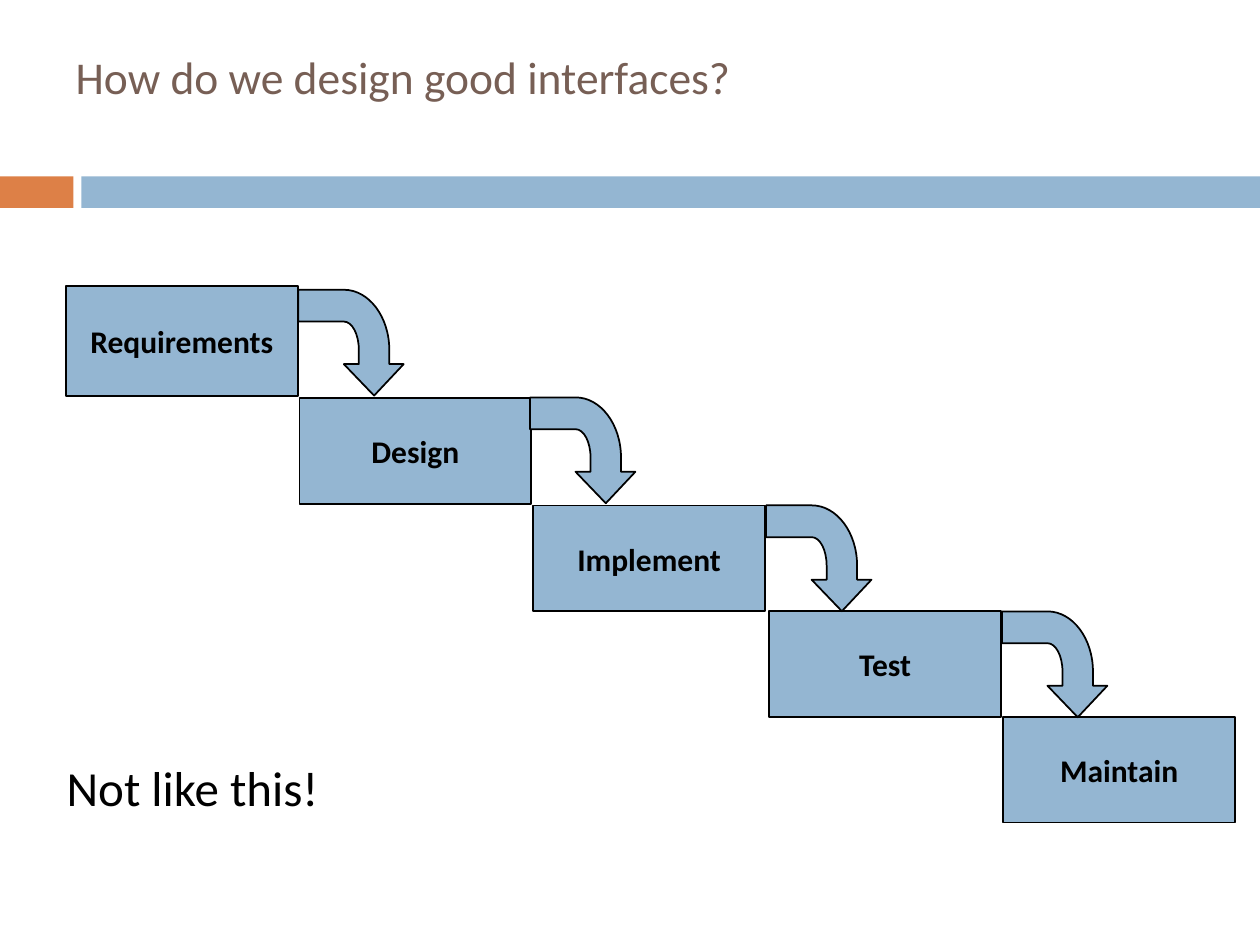
"""Build the waterfall process slide."""
from pptx import Presentation
from pptx import util as u
from pptx.dml.color import RGBColor
from pptx.enum import shapes, text
from pptx.oxml import ns, xmlchemy

BLUE, ORANGE, BROWN, BLACK = "94B6D2", "DD8047", "775F55", "000000"
STAGE_WIDTH = 132.5
STAGES = [
    ("Requirements", 37.7, 163.4, 63),
    ("Design", 171.1, 227.5, 60.4),
    ("Implement", 304.7, 288.9, 60.4),
    ("Test", 439.6, 349.2, 60.4),
    ("Maintain", 573.3, 409.7, 60.4),
]
ARROW_CORNERS = [(170.5, 165.6), (302.9, 227.1), (437.8, 288.8), (572.6, 349.4)]
ARROW_OUTLINE = [
    (0, 0), (26, 0), (40.4, 0), (52, 15.5), (52, 34.5), (52, 42.5), (60.2, 42.5),
    (43.3, 60.5), (26, 42.5), (34.6, 42.5), (34.6, 34.5), (34.6, 25.5),
    (30.8, 18.2), (26, 18.2), (0, 18.2),
]
BEND_STARTS = (1, 10)


def color(value):
    """Turn a hex string into a colour."""
    return RGBColor.from_string(value)


def points(*lengths):
    """Turn numbers into point lengths."""
    return [u.Pt(length) for length in lengths]


def paint(shape, fill, outlined=True):
    """Set the fill and outline and drop the shadow."""
    shape.shadow.inherit = False
    shape.fill.solid()
    shape.fill.fore_color.rgb = color(fill)
    if outlined:
        shape.line.color.rgb = color(BLACK)
        shape.line.width = u.Pt(1)
    else:
        shape.line.fill.background()


def write(frame, words, size, ink, bold=False, align=text.PP_ALIGN.LEFT,
          anchor=text.MSO_ANCHOR.MIDDLE, wrap=False):
    """Put one formatted line of words into a text frame."""
    frame.text = words
    frame.word_wrap = wrap
    frame.vertical_anchor = anchor
    line = frame.paragraphs[0]
    line.alignment = align
    line.font.color.rgb = color(ink)
    for name, value in {"name": "Calibri", "size": u.Pt(size), "bold": bold}.items():
        setattr(line.font, name, value)


def add_box(slide, left, top, width, height, fill=BLUE, outlined=True):
    """Add a filled rectangle."""
    box = slide.shapes.add_shape(
        shapes.MSO_SHAPE.RECTANGLE, *points(left, top, width, height))
    paint(box, fill, outlined)
    return box


def add_stage(slide, name, left, top, height):
    """Add one labelled stage of the process."""
    stage = add_box(slide, left, top, STAGE_WIDTH, height)
    write(stage.text_frame, name, 18, BLACK, bold=True, align=text.PP_ALIGN.CENTER)


def round_bends(arrow):
    """Merge the three segments of each bend into one Bezier curve."""
    segments = list(arrow.element.iter(ns.qn("a:lnTo")))
    for start in BEND_STARTS:
        bend = segments[start:start + 3]
        curve = xmlchemy.OxmlElement("a:cubicBezTo")
        bend[0].addprevious(curve)
        for segment in bend:
            curve.append(segment[0])
            segment.getparent().remove(segment)


def add_bent_arrow(slide, left, top):
    """Add an arrow that leaves to the right and bends down."""
    corners = [points(left + x, top + y) for x, y in ARROW_OUTLINE]
    builder = slide.shapes.build_freeform(*corners[0])
    builder.add_line_segments(corners[1:], close=True)
    arrow = builder.convert_to_shape()
    round_bends(arrow)
    paint(arrow, BLUE)


def add_title(slide, words):
    """Place and format the title."""
    title = slide.shapes.title
    place = dict(zip(("left", "top", "width", "height"), points(36, 9.7, 594, 67.7)))
    for name, value in place.items():
        setattr(title, name, value)
    write(title.text_frame, words, 26, BROWN, wrap=True)


def add_remark(slide, words):
    """Add the remark below the process."""
    remark = slide.shapes.add_textbox(*points(31, 429.5, 167, 41))
    write(remark.text_frame, words, 28, BLACK, anchor=text.MSO_ANCHOR.TOP)
    remark.text_frame.auto_size = text.MSO_AUTO_SIZE.SHAPE_TO_FIT_TEXT


def main():
    """Build and save the slide."""
    deck = Presentation()
    deck.slide_width, deck.slide_height = points(720, 540)
    slide = deck.slides.add_slide(deck.slide_layouts[5])
    add_box(slide, 0, 100.8, 42, 18, ORANGE, outlined=False)
    add_box(slide, 46.5, 100.8, 673.5, 18, outlined=False)
    add_title(slide, "How do we design good interfaces?")
    for stage in STAGES:
        add_stage(slide, *stage)
    for corner in ARROW_CORNERS:
        add_bent_arrow(slide, *corner)
    add_remark(slide, "Not like this!")
    deck.save("out.pptx")


if __name__ == "__main__":
    main()
